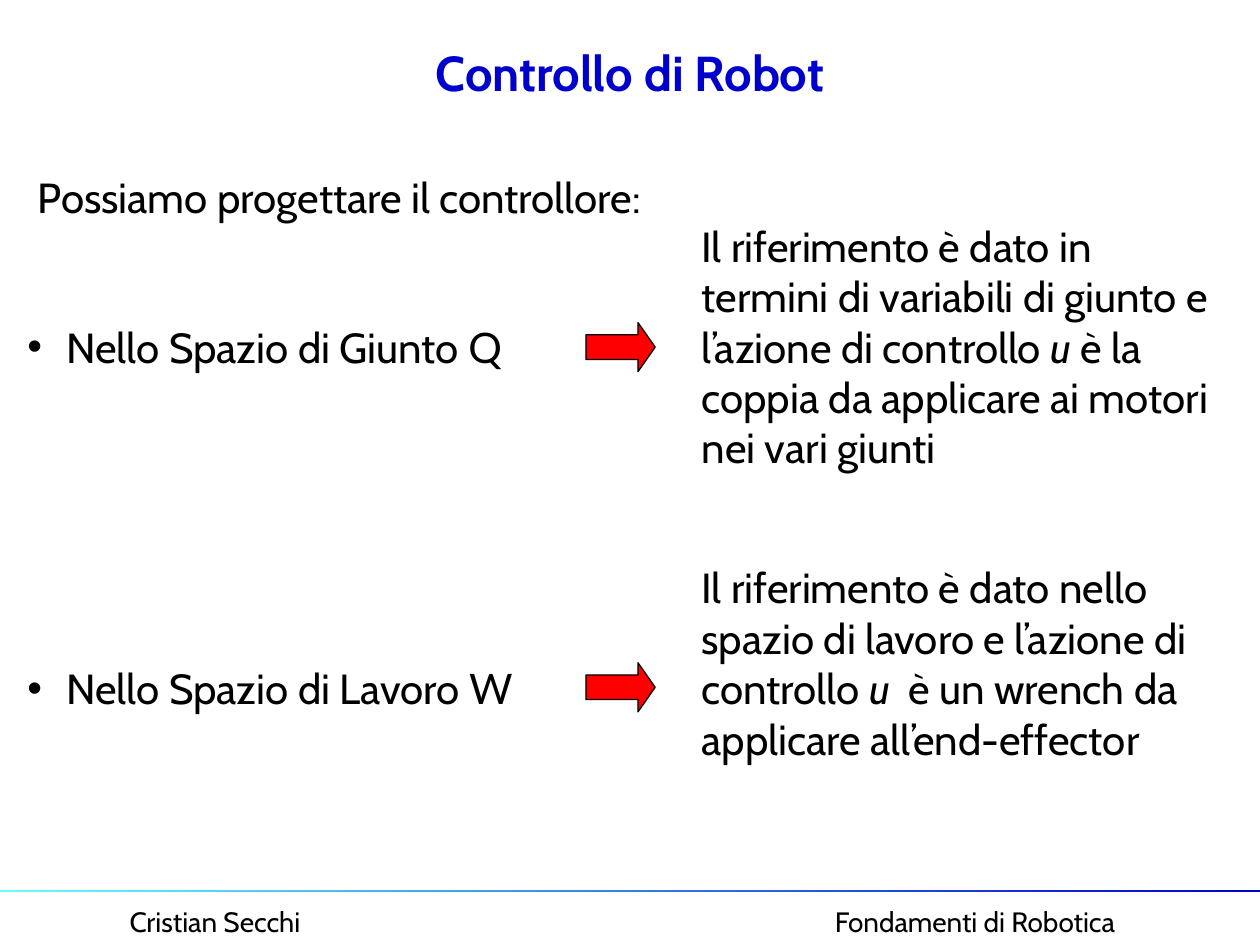
from lxml.etree import SubElement
from pptx import Presentation
from pptx.dml.color import RGBColor
from pptx.enum.shapes import MSO_SHAPE
from pptx.enum.text import MSO_ANCHOR, PP_ALIGN
from pptx.oxml.ns import qn
from pptx.util import Inches, Pt

COLORS = {"title": "0000CC", "text": "000000", "arrow": "FF0000", "cyan": "66FFFF"}


def rgb(name):
    return RGBColor.from_string(COLORS[name])


def add_run(p, text, font="Cabin", size=24, color="text", bold=False, italic=False):
    r = p.add_run()
    r.text = text
    r.font.name = font
    r.font.size = Pt(size)
    r.font.color.rgb = rgb(color)
    r.font.bold = bold
    r.font.italic = italic


class SlideBuilder:
    """Hold the current slide and the style of its elements."""

    def __init__(self, prs):
        self.s = prs.slides.add_slide(prs.slide_layouts[6])

    def text(self, x, y, w, h, runs, align=PP_ALIGN.LEFT, bullet=False,
             anchor=MSO_ANCHOR.TOP, **style):
        tf = self.s.shapes.add_textbox(Inches(x), Inches(y), Inches(w), Inches(h)).text_frame
        tf.word_wrap = True
        tf.vertical_anchor = anchor
        p = tf.paragraphs[0]
        p.alignment = align
        if bullet:
            pPr = p._p.get_or_add_pPr()
            pPr.set("marL", str(Inches(0.31)))
            pPr.set("indent", str(-Inches(0.31)))
            SubElement(pPr, qn("a:buFont"), typeface="Arial")
            SubElement(pPr, qn("a:buChar"), char="•")
        for text, extra in runs:
            add_run(p, text, **style, **extra)

    def arrow(self, x, y):
        sp = self.s.shapes.add_shape(
            MSO_SHAPE.RIGHT_ARROW, Inches(x), Inches(y), Inches(0.55), Inches(0.39))
        sp.shadow.inherit = False
        sp.adjustments[1] = 0.35
        sp.fill.solid()
        sp.fill.fore_color.rgb = rgb("arrow")
        sp.line.color.rgb = rgb("text")
        sp.line.width = Pt(0.75)

    def rule(self, y):
        sp = self.s.shapes.add_shape(
            MSO_SHAPE.RECTANGLE, 0, Inches(y), Inches(10), Inches(0.02))
        sp.shadow.inherit = False
        sp.line.fill.background()
        sp.fill.gradient()
        sp.fill.gradient_angle = 180
        for stop, name, position in zip(sp.fill.gradient_stops, ("title", "cyan"), (0, 1)):
            stop.color.rgb = rgb(name)
            stop.position = position


def main():
    prs = Presentation()
    prs.slide_width, prs.slide_height = Inches(10), Inches(7.5)
    b = SlideBuilder(prs)
    b.text(0.93, 7.13, 3, 0.37, [("Cristian Secchi", {})], size=16)
    b.text(5.95, 7.13, 3, 0.37, [("Fondamenti di Robotica", {})],
           align=PP_ALIGN.RIGHT, size=16)
    b.rule(7.06)
    b.text(0.5, 0.3, 9, 0.54, [("Controllo di Robot", {})], align=PP_ALIGN.CENTER,
           anchor=MSO_ANCHOR.MIDDLE, size=28, color="title", bold=True)
    b.text(0.2, 1.31, 9.61, 0.5, [("Possiamo progettare il controllore:", {})])

    spaces = [
        (2.5, 2.56, "Nello Spazio di Giunto ", "Q", 1.7, 2.5,
         "Il riferimento è dato in termini di variabili di giunto e l’azione di controllo ",
         "u", " è la coppia da applicare ai motori nei vari giunti"),
        (5.21, 5.26, "Nello Spazio di Lavoro ", "W", 4.41, 2.1,
         "Il riferimento è dato nello spazio di lavoro e l’azione di controllo ",
         "u ", " è un wrench da applicare all’end-effector"),
    ]
    for y, arrow_y, name, symbol, top, height, before, action, after in spaces:
        b.text(0.12, y, 4.26, 0.5, [(name, {}), (symbol, {"font": "Lato"})], bullet=True)
        b.arrow(4.65, arrow_y)
        b.text(5.47, top, 4.25, height,
               [(before, {}), (action, {"italic": True}), (after, {})])
    prs.save("out.pptx")


if __name__ == "__main__":
    main()
